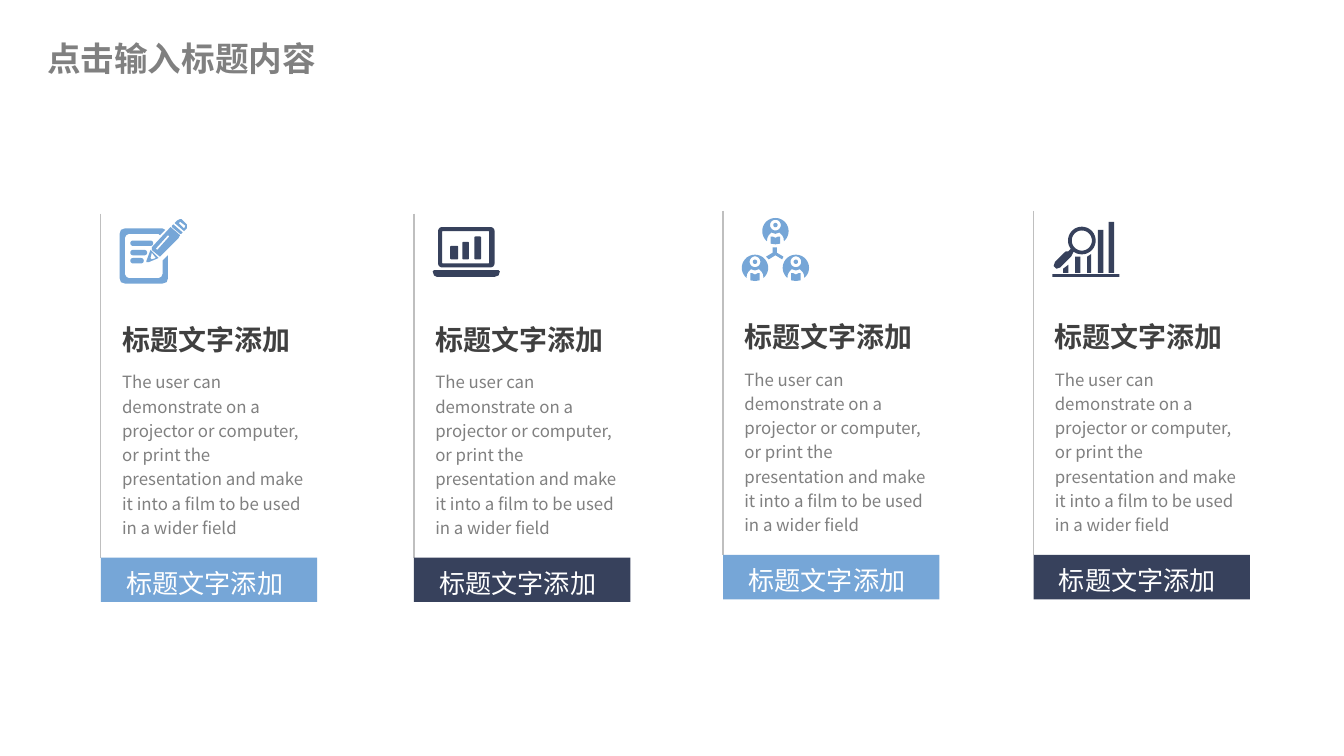
from dataclasses import dataclass
from math import cos, radians, sin

from pptx import Presentation
from pptx.dml.color import RGBColor
from pptx.enum.shapes import MSO_CONNECTOR, MSO_SHAPE
from pptx.enum.text import MSO_ANCHOR, MSO_AUTO_SIZE, PP_ALIGN
from pptx.oxml.ns import qn
from pptx.util import Inches, Pt

RECTANGLE = MSO_SHAPE.RECTANGLE
STRAIGHT = MSO_CONNECTOR.STRAIGHT
MIDDLE, TOP = MSO_ANCHOR.MIDDLE, MSO_ANCHOR.TOP
LEFT = PP_ALIGN.LEFT
FIXED_SIZE = MSO_AUTO_SIZE.NONE

BLUE = RGBColor(0x76, 0xA6, 0xD7)
NAVY = RGBColor(0x37, 0x41, 0x5C)
GRAY = RGBColor(0x80, 0x80, 0x80)
DARK = RGBColor(0x40, 0x40, 0x40)
RULE = RGBColor(0xBF, 0xBF, 0xBF)
WHITE = RGBColor(0xFF, 0xFF, 0xFF)
FONT = "Noto Sans CJK SC"

HEADING = "标题文字添加"
BODY = ("The user can demonstrate on a projector or computer, or print the "
        "presentation and make it into a film to be used in a wider field")

TITLE_FORMAT = {"size": Pt(18), "bold": True}
HEADING_FORMAT = {"size": Pt(15), "bold": True}
BODY_FORMAT = {"size": Pt(9), "bold": False}
LABEL_FORMAT = {"size": Pt(14), "bold": False}

Contour = list[tuple[float, float]]
UNITS_PER_INCH = 10000  # fine freeform grid; icons are drawn in 1/100 inch


@dataclass
class Column:
    left: float
    top: float
    color: RGBColor
    icon_top: float  # below the column top
    icon: list[Contour]


# Contours of the icons
def arc(x: float, y: float, radius: float, start: int = 0, end: int = 360) -> Contour:
    return [(x + radius * cos(radians(angle)), y + radius * sin(radians(angle)))
            for angle in range(start, end + 1, 10)]


def box(x: float, y: float, width: float, height: float, radius: float = 0) -> Contour:
    right, bottom = x + width, y + height
    if not radius:
        return [(x, y), (right, y), (right, bottom), (x, bottom)]
    return (arc(x + radius, y + radius, radius, 180, 270)
            + arc(right - radius, y + radius, radius, 270, 360)
            + arc(right - radius, bottom - radius, radius, 0, 90)
            + arc(x + radius, bottom - radius, radius, 90, 180))


def person(x: float, y: float) -> list[Contour]:
    shoulders = [(-6, 5), (-5, 3), (-3, 1), (0, 2), (3, 1), (5, 3), (6, 5)]
    chest = [(-3.5, 4), (-2, 4), (0, 5), (2, 4), (3.5, 4), (3.5, 9.3), (0, 9.8), (-3.5, 9.3)]
    return [arc(x, y, 9.8, 130, 410) + [(x + dx, y + dy) for dx, dy in reversed(shoulders)],
            arc(x, y - 4.5, 4), arc(x, y - 4.5, 1.6),
            [(x + dx, y + dy) for dx, dy in chest]]


PENCIL_ICON = [
    # Page and its lines
    [(4, 7), (32, 7), (34, 8), (30, 12), (29, 11), (7, 11), (5, 12), (4, 14), (4, 41),
     (5, 43), (7, 44), (29, 44), (31, 43), (32, 41), (32, 31), (36, 27), (36, 44),
     (35, 47), (32, 48), (4, 48), (1, 47), (0, 44), (0, 11), (1, 8)],
    box(8, 16, 17, 4, 2), box(8, 23, 12.5, 4, 2), box(8, 29, 10, 4, 2),
    # Pencil tip, body, band and eraser
    [(23, 23), (29, 29), (22, 32), (20, 32), (20, 31)],
    [(24, 25), (23, 29), (24, 30), (27, 29)],
    [(38, 6), (45, 12), (44, 14), (31, 27), (30, 28), (24, 23), (24, 21), (37, 7)],
    [(36, 12), (27, 22), (28, 23), (37, 13)],
    [(40, 4), (47, 10), (46, 11), (45, 11), (39, 6), (39, 5)],
    [(45, 0), (46, 0), (50, 4), (50, 7), (48, 9), (41, 3), (43, 1)],
    [(45, 2), (44, 3), (48, 7), (49, 5)],
]
LAPTOP_ICON = [
    [(1, 32), (49, 32), (50, 33), (49, 36), (46, 37), (3, 37), (1, 36), (0, 33)],
    box(4, 0, 42, 30, 3), box(7, 3, 35, 24, 0.5),
    box(13, 14, 6, 10, 0.8), box(22, 11, 5, 13, 0.8), box(31, 7, 5, 17, 0.8),
]
TEAM_ICON = [
    *person(25, 10), *person(9.8, 37.3), *person(40.2, 37.3),
    [(23, 22), (26, 22), (26, 26), (31, 29), (30, 31), (25, 28), (20, 31), (18, 29), (23, 26)],
]
ANALYSIS_ICON = [
    box(0, 39, 50, 2), box(34, 6, 4, 32), box(42, 0, 4, 38),
    [(8, 35), (12, 32), (12, 38), (8, 38)], box(17, 26, 4, 12),
    [(26, 26), (29, 24), (29, 38), (26, 38)],
    # Magnifying glass
    arc(22, 14, 10.3), arc(22, 14, 7.5),
    [(14, 20), (16, 22), (14, 26), (6, 34), (3, 35), (1, 33), (2, 30), (10, 22), (12, 22)],
]

COLUMNS = [
    Column(0.75, 1.59, BLUE, 0.04, PENCIL_ICON),
    Column(3.08, 1.59, NAVY, 0.1, LAPTOP_ICON),
    Column(5.38, 1.57, BLUE, 0.05, TEAM_ICON),
    Column(7.69, 1.57, NAVY, 0.08, ANALYSIS_ICON),
]


def write_text(shape, text: str, color: RGBColor, font_format: dict, anchor=TOP) -> None:
    frame = shape.text_frame
    frame.word_wrap = True
    frame.auto_size = FIXED_SIZE
    frame.vertical_anchor = anchor
    paragraph = frame.paragraphs[0]
    paragraph.alignment = LEFT
    run = paragraph.add_run()
    run.text = text
    for name, value in {"name": FONT, **font_format}.items():
        setattr(run.font, name, value)
    run.font.color.rgb = color
    # Chinese glyphs take the East Asian typeface
    latin = run.font._element.find(qn("a:latin"))
    east_asian = latin.makeelement(qn("a:ea"), {"typeface": FONT})
    latin.addnext(east_asian)


def add_text(slide, left: float, top: float, height: float, text: str,
             color: RGBColor, font_format: dict):
    shape = slide.shapes.add_textbox(Inches(left), Inches(top), Inches(1.55), Inches(height))
    write_text(shape, text, color, font_format)
    return shape


def paint(shape, color: RGBColor) -> None:
    shape.shadow.inherit = False
    shape.fill.solid()
    shape.fill.fore_color.rgb = color
    shape.line.fill.background()


def add_icon(slide, left: float, top: float, contours: list[Contour], color: RGBColor) -> None:
    grid = [[(x * 100, y * 100) for x, y in contour] for contour in contours]
    builder = slide.shapes.build_freeform(*grid[0][0], scale=Inches(1) / UNITS_PER_INCH)
    for index, contour in enumerate(grid):
        if index:
            builder.move_to(*contour[0])
        builder.add_line_segments(contour[1:], close=True)
    paint(builder.convert_to_shape(Inches(left), Inches(top)), color)


def add_column(slide, column: Column) -> None:
    left, top = column.left, column.top
    bar_top = top + 2.56

    # Rule and label bar
    rule = slide.shapes.add_connector(STRAIGHT, Inches(left), Inches(top),
                                      Inches(left), Inches(bar_top))
    rule.line.color.rgb = RULE
    rule.line.width = Pt(0.75)
    properties = rule._element.spPr
    properties.append(properties.makeelement(qn("a:effectLst"), {}))
    bar = slide.shapes.add_shape(RECTANGLE, Inches(left), Inches(bar_top),
                                 Inches(1.61), Inches(0.33))
    paint(bar, column.color)

    # Icon and texts
    add_text(slide, left + 0.06, top + 0.76, 0.35, HEADING, DARK, HEADING_FORMAT)
    body = add_text(slide, left + 0.06, top + 1.1, 1, BODY, GRAY, BODY_FORMAT)
    body.text_frame.paragraphs[0].line_spacing = 1.2
    add_icon(slide, left + 0.14, top + column.icon_top, column.icon, column.color)
    add_text(slide, left + 0.09, top + 2.58, 0.34, HEADING, WHITE, LABEL_FORMAT)


def main() -> None:
    presentation = Presentation()
    presentation.slide_width = Inches(10)
    presentation.slide_height = presentation.slide_width * 9 // 16
    slide = presentation.slides.add_slide(presentation.slide_layouts[5])

    # Title
    title = slide.shapes.title
    title.left, title.top = Inches(0.35), Inches(0.22)
    title.width, title.height = Inches(2.33), Inches(0.42)
    title.text_frame.margin_left = title.text_frame.margin_right = 0
    write_text(title, "点击输入标题内容", GRAY, TITLE_FORMAT, MIDDLE)

    for column in COLUMNS:
        add_column(slide, column)
    presentation.save("out.pptx")


if __name__ == "__main__":
    main()
